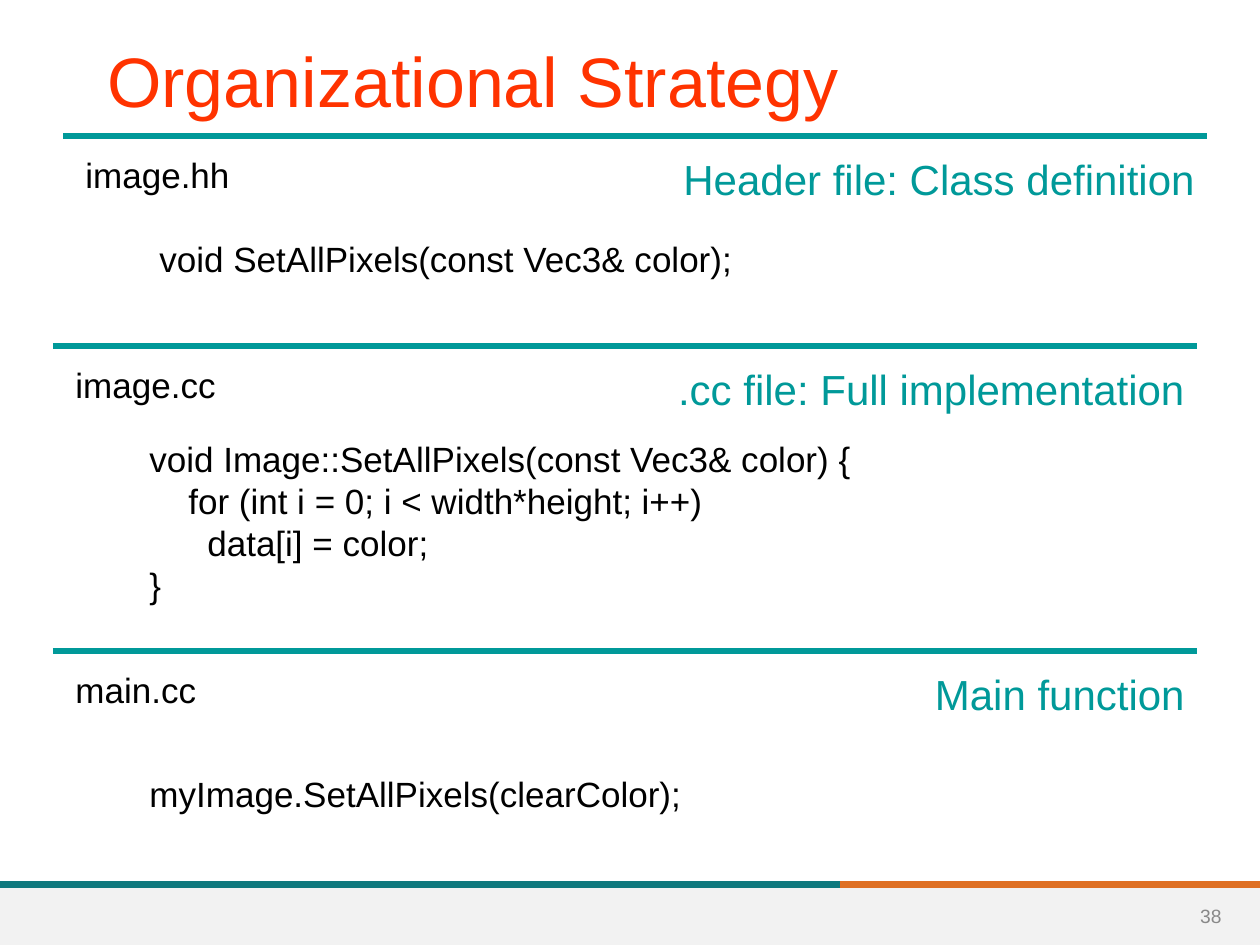
"""Build a slide that shows how a class is split over three source files."""
from dataclasses import dataclass

from lxml import etree
from pptx import Presentation
from pptx import util as u
from pptx.dml.color import RGBColor
from pptx.enum import shapes, text
from pptx.oxml.ns import qn

PX = u.Inches(1) / 126
FONT = "Arial"
BLACK = RGBColor(0x00, 0x00, 0x00)
RED = RGBColor(0xFF, 0x33, 0x00)
TEAL = RGBColor(0x00, 0x99, 0x99)
DARK_TEAL = RGBColor(0x0F, 0x78, 0x7D)
ORANGE = RGBColor(0xDF, 0x70, 0x23)
PALE_GREY = RGBColor(0xF2, 0xF2, 0xF2)
MID_GREY = RGBColor(0x89, 0x89, 0x89)
LEFT, CENTER, RIGHT = text.PP_ALIGN.LEFT, text.PP_ALIGN.CENTER, text.PP_ALIGN.RIGHT

PAGE_WIDTH, PAGE_HEIGHT = 1260, 945
RULE_WIDTH = 1144
RULE_GAP = 11
NAME_INDENT, CODE_INDENT = 10, 84
NAME_HEIGHT, LABEL_HEIGHT, LINE_HEIGHT = 55, 63, 42
FOOTER_LINE, FOOTER_TOP, FOOTER_SPLIT = 885, 888, 840


@dataclass(frozen=True)
class CodeLine:
    words: str
    indent: int = 0


@dataclass(frozen=True)
class Section:
    left: int
    top: int
    file_name: str
    name_width: int
    label: str
    label_width: int
    code_top: int
    code_width: int
    code: tuple[CodeLine, ...]


SECTIONS = (
    Section(63, 136, "image.hh", 262, "Header file: Class definition", 966, 231, 924,
            (CodeLine("void SetAllPixels(const Vec3& color);"),)),
    Section(53, 346, "image.cc", 220, ".cc file: Full implementation", 746, 431, 1071,
            (CodeLine("void Image::SetAllPixels(const Vec3& color) {"),
             CodeLine("for (int i = 0; i < width*height; i++)", 39),
             CodeLine("data[i] = color;", 58),
             CodeLine("}"))),
    Section(53, 651, "main.cc", 220, "Main function", 924, 766, 861,
            (CodeLine("myImage.SetAllPixels(clearColor);"),)),
)


def emu(pixels: int) -> u.Emu:
    """Turn px into EMU."""
    return u.Emu(round(pixels * PX))


def add_rule(page, left: int, top: int, width: int, color: RGBColor, weight: int) -> None:
    """Draw a horizontal rule."""
    rule = page.shapes.add_connector(shapes.MSO_CONNECTOR.STRAIGHT, emu(left), emu(top),
                                     emu(left + width), emu(top))
    rule.line.color.rgb = color
    rule.line.width = u.Pt(weight)
    etree.SubElement(rule._element.spPr, qn("a:effectLst"))


def add_text(page, left: int, top: int, width: int, height: int, lines: tuple[CodeLine, ...],
             size: int, color: RGBColor, align=LEFT, anchor=text.MSO_ANCHOR.TOP) -> None:
    """Place a text box with one paragraph for each line."""
    box = page.shapes.add_textbox(emu(left), emu(top), emu(width), emu(height))
    frame = box.text_frame
    frame.word_wrap = True
    frame.vertical_anchor = anchor
    frame.text = "\n".join(line.words for line in lines)
    for para, line in zip(frame.paragraphs, lines):
        para.alignment = align
        para.font.size = u.Pt(size)
        if line.indent:
            para._p.get_or_add_pPr().set("marL", str(emu(line.indent)))
        for span in para.runs:
            span.font.name = FONT
            span.font.size = u.Pt(size)
            span.font.color.rgb = color


def add_section(page, section: Section) -> None:
    """Draw the rule, file name, label and code of one file."""
    add_rule(page, section.left, section.top, RULE_WIDTH, TEAL, 3)
    text_top = section.top + RULE_GAP
    add_text(page, section.left + NAME_INDENT, text_top, section.name_width, NAME_HEIGHT,
             (CodeLine(section.file_name),), 20, BLACK)
    label_left = section.left + RULE_WIDTH - section.label_width
    add_text(page, label_left, text_top, section.label_width, LABEL_HEIGHT,
             (CodeLine(section.label),), 24, TEAL, RIGHT)
    code_height = NAME_HEIGHT + LINE_HEIGHT * (len(section.code) - 1)
    add_text(page, section.left + CODE_INDENT, section.code_top, section.code_width,
             code_height, section.code, 20, BLACK)


def add_footer(page) -> None:
    """Draw the two-coloured line, the band and the page number."""
    add_rule(page, FOOTER_SPLIT, FOOTER_LINE, PAGE_WIDTH - FOOTER_SPLIT, ORANGE, 4)
    add_rule(page, 0, FOOTER_LINE, FOOTER_SPLIT, DARK_TEAL, 4)
    band = page.shapes.add_shape(shapes.MSO_SHAPE.RECTANGLE, 0, emu(FOOTER_TOP),
                                 emu(PAGE_WIDTH), emu(PAGE_HEIGHT - FOOTER_TOP))
    band.shadow.inherit = False
    band.fill.solid()
    band.fill.fore_color.rgb = PALE_GREY
    band.line.fill.background()
    add_text(page, 1178, 891, 66, 50, (CodeLine("38"),), 11, MID_GREY, CENTER,
             text.MSO_ANCHOR.MIDDLE)


def main() -> None:
    """Build and save the deck."""
    deck = Presentation()
    deck.slide_width, deck.slide_height = emu(PAGE_WIDTH), emu(PAGE_HEIGHT)
    page = deck.slides.add_slide(deck.slide_layouts[6])
    add_footer(page)
    add_text(page, 95, 32, 1071, 95, (CodeLine("Organizational Strategy"),), 40, RED,
             anchor=text.MSO_ANCHOR.MIDDLE)
    for section in SECTIONS:
        add_section(page, section)
    deck.save("out.pptx")


if __name__ == "__main__":
    main()
